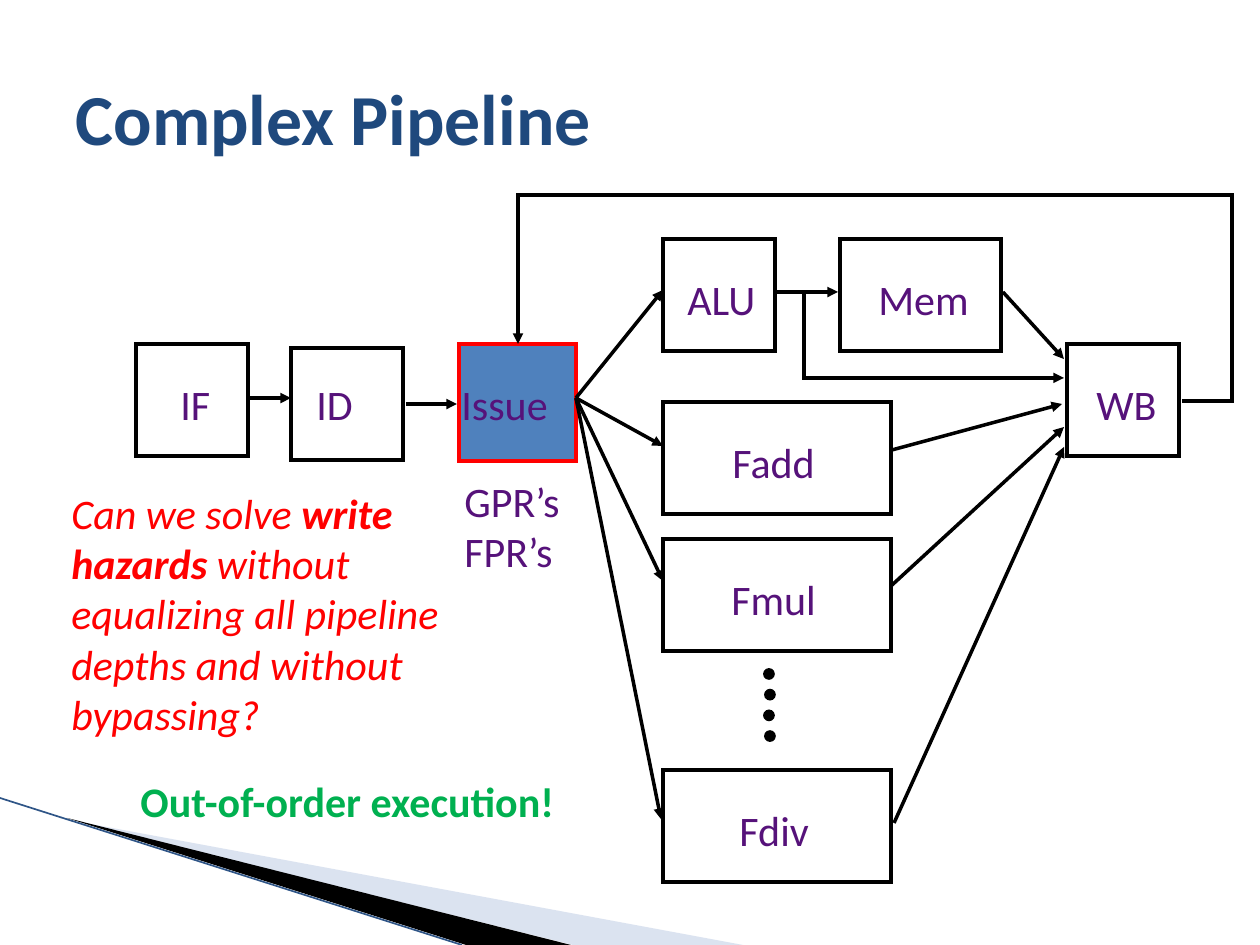
from lxml.etree import SubElement
from pptx import Presentation
from pptx.dml.color import RGBColor
from pptx.enum.shapes import MSO_CONNECTOR, MSO_SHAPE
from pptx.enum.text import MSO_ANCHOR, MSO_AUTO_SIZE, PP_ALIGN
from pptx.oxml.ns import qn
from pptx.util import Inches, Pt

SCALE = Inches(1) / 126
FONT = "Calibri"
HUES = {"ink": "000000", "title": "1F497D", "label": "56127A", "ask": "FF0000",
        "answer": "00B050", "issue": "4F81BD", "wedge": "A7B9DB", "edge": "2F5587"}


def px(*nums):
    return [round(n * SCALE) for n in nums]


def hue(name):
    return RGBColor.from_string(HUES[name])


def paint(shape, fill=None, line=None, width=2):
    shape.shadow.inherit = False
    if fill:
        shape.fill.solid()
        shape.fill.fore_color.rgb = hue(fill)
    else:
        shape.fill.background()
    if line:
        shape.line.color.rgb = hue(line)
        shape.line.width = Pt(width)
        SubElement(shape.line._get_or_add_ln(), qn("a:miter"), lim="800000")
    else:
        shape.line.fill.background()


def add_run(para, text, color, size=24, bold=False, slant=False):
    run = para.add_run()
    run.text = text
    font = run.font
    font.name, font.size, font.bold, font.italic = FONT, Pt(size), bold, slant
    font.color.rgb = hue(color)


def add_box(slide, rect, fill=None, line="ink", kind=MSO_SHAPE.RECTANGLE, width=2):
    paint(slide.shapes.add_shape(kind, *px(*rect)), fill, line, width)


def add_text(slide, rect, paras, wrap=False):
    frame = slide.shapes.add_textbox(*px(*rect)).text_frame
    frame.word_wrap = wrap
    frame.auto_size = MSO_AUTO_SIZE.SHAPE_TO_FIT_TEXT
    for i, runs in enumerate(paras):
        para = frame.add_paragraph() if i else frame.paragraphs[0]
        for text, style in runs:
            add_run(para, text, **style)


def add_label(slide, rect, *lines, wrap=False):
    add_text(slide, rect, [[(line, {"color": "label"})] for line in lines], wrap)


def add_path(slide, points, closed=False):
    first, *rest = points
    pen = slide.shapes.build_freeform(*first, scale=SCALE)
    pen.add_line_segments(rest, close=closed)
    return pen.convert_to_shape()


def add_tip(shape):
    SubElement(shape.line._get_or_add_ln(), qn("a:tailEnd"), type="triangle")


def add_line(slide, start, end, color="ink", width=2, tip=True):
    line = slide.shapes.add_connector(MSO_CONNECTOR.STRAIGHT, *px(*start, *end))
    line.line.color.rgb = hue(color)
    line.line.width = Pt(width)
    if tip:
        add_tip(line)
    SubElement(line._element.spPr, qn("a:effectLst"))


def add_route(slide, points):
    route = add_path(slide, points)
    paint(route, line="ink")
    add_tip(route)


def add_wedge(slide, points, color, alpha=100):
    wedge = add_path(slide, points, True)
    paint(wedge, color)
    tint = wedge._element.spPr.find(qn("a:solidFill"))[0]
    SubElement(tint, qn("a:alpha"), val=str(alpha * 1000))


def add_title(slide, text):
    title = slide.shapes.title
    title.left, title.top, title.width, title.height = px(63, 38, 1134, 157)
    frame = title.text_frame
    frame.vertical_anchor = MSO_ANCHOR.MIDDLE
    para = frame.paragraphs[0]
    para.alignment = PP_ALIGN.LEFT
    add_run(para, text, "title", 41, True)


def add_stages(slide):
    side = 112
    stages = [("IF", 136, 344, side, 168, 56), ("ID", 291, 348, side, 304, 91),
              ("WB", 1067, 344, side, 1084, 86), ("ALU", 663, 239, side, 675, 94),
              ("Mem", 840, 239, 161, 866, 116), ("Fadd", 663, 402, 228, 720, 110),
              ("Fmul", 663, 539, 228, 719, 111), ("Fdiv", 663, 770, 228, 727, 96)]
    for name, left, top, width, start, span in stages:
        add_box(slide, (left, top, width, side))
        drop = 24 if name == "ID" else 28
        add_label(slide, (start, top + drop, span, 63), name, wrap=name == "ID")
    add_box(slide, (459, 344, 117, 117), "issue", "ask")
    add_label(slide, (449, 372, 137, 63), "Issue", wrap=True)
    add_label(slide, (452, 469, 123, 115), "GPR’s", "FPR’s")
    for i in range(4):
        add_box(slide, (764 + i % 2, 669 + 20.7 * i, 10, 10), "ink",
                kind=MSO_SHAPE.OVAL, width=1)


def add_flow(slide):
    for start, end in [((250, 398), (291, 398)), ((406, 404), (457, 404)),
                       ((805, 292), (838, 292))]:
        add_line(slide, start, end)
    for end in [(663, 290), (663, 446), (663, 581), (661, 819)]:
        add_route(slide, [(576, 398), end])
    for start, end in [((1003, 292), (1064, 359)), ((892, 450), (1062, 404)),
                       ((892, 585), (1064, 427)), ((894, 823), (1064, 447))]:
        add_route(slide, [start, end])
    add_route(slide, [(777, 292), (804, 292), (804, 378), (1064, 378)])
    add_route(slide, [(1182, 401), (1232, 401), (1232, 195), (518, 195), (518, 344)])


def add_notes(slide):
    ask = {"color": "ask", "slant": True}
    add_text(slide, (59, 481, 454, 267), [[
        ("Can we solve ", ask), ("write hazards", {**ask, "bold": True}),
        (" without equalizing all pipeline depths and without bypassing?", ask)]], True)
    add_text(slide, (128, 769, 446, 63),
             [[("Out-of-order execution!", {"color": "answer", "bold": True})]])


def main():
    deck = Presentation()
    deck.slide_width, deck.slide_height = Inches(10), Inches(7.5)
    slide = deck.slides.add_slide(deck.slide_layouts[5])
    add_wedge(slide, [(69, 820), (743, 945), (573, 945)], "wedge", 40)
    add_wedge(slide, [(67, 818), (571, 945), (466, 945)], "ink")
    add_line(slide, (0, 798), (462, 945), "edge", 0.95, False)
    add_title(slide, "Complex Pipeline")
    add_stages(slide)
    add_flow(slide)
    add_notes(slide)
    deck.save("out.pptx")


main()
